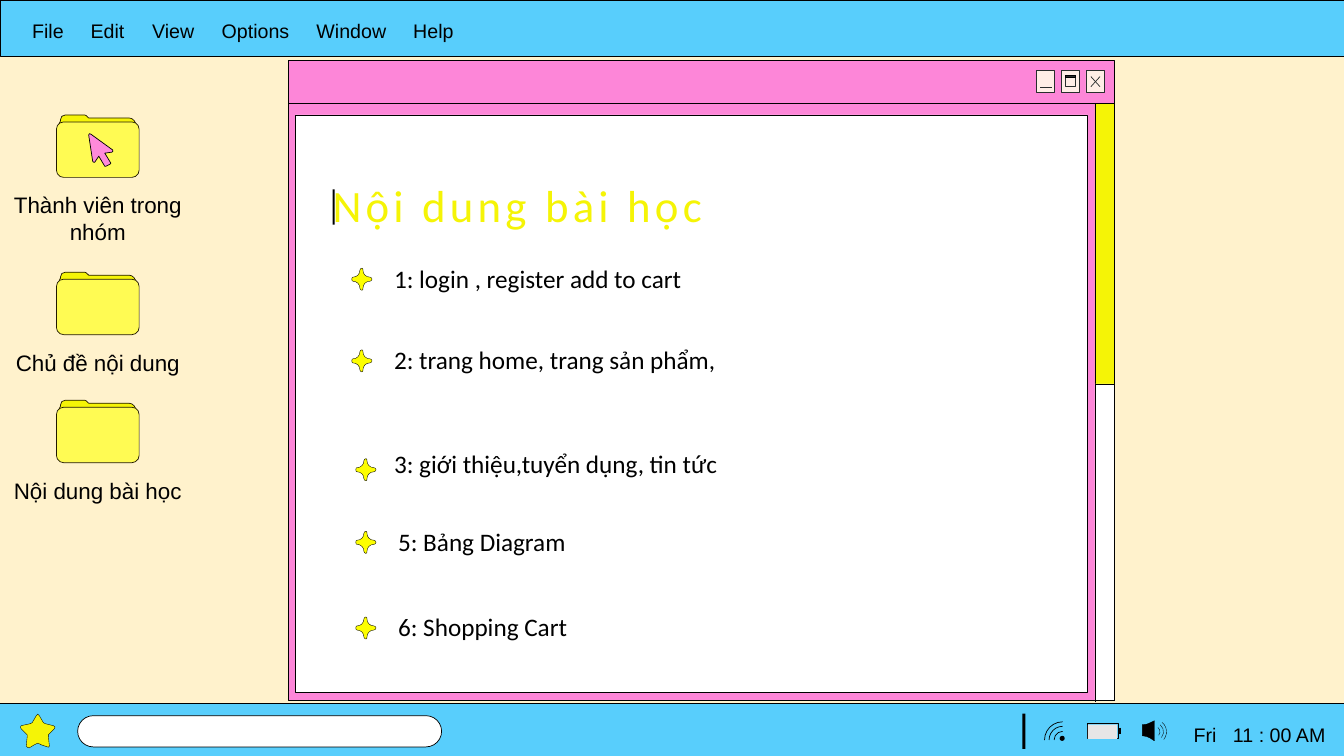
from lxml import etree
from pptx import Presentation
from pptx.dml.color import RGBColor
from pptx.enum.shapes import MSO_CONNECTOR, MSO_SHAPE as Kind
from pptx.enum.text import MSO_AUTO_SIZE, PP_ALIGN
from pptx.oxml.ns import qn
from pptx.util import Cm, Pt

CREAM = RGBColor(0xFF, 0xF2, 0xCC)
BLUE = RGBColor(0x58, 0xCE, 0xFC)
PINK = RGBColor(0xFD, 0x86, 0xD8)
CURSOR_PINK = RGBColor(0xFE, 0x8A, 0xDA)
YELLOW = RGBColor(0xF5, 0xF4, 0x06)
FOLDER_YELLOW = RGBColor(0xFF, 0xFB, 0x53)
SPARK_YELLOW = RGBColor(0xFD, 0xFE, 0x00)
BUTTON = RGBColor(0xFF, 0xEE, 0xE6)
GREY = RGBColor(0xE7, 0xE6, 0xE6)
INK = RGBColor(0x29, 0x2D, 0x2D)
BROWN = RGBColor(0x21, 0x19, 0x00)
WHITE = RGBColor(0xFF, 0xFF, 0xFF)
BLACK = RGBColor(0, 0, 0)

MENU = ["File", "Edit", "View", "Options", "Window", "Help"]
MENU_TABS = [0.58, 1.19, 1.88, 2.82, 3.78]
CLOCK = ["Fri", "11 : 00 AM"]
CLOCK_TABS = [0.39]
TITLE = "Nội dung bài học"
FOLDERS = [
    ("Thành viên trong nhóm", 1.14, 0.64),
    ("Chủ đề nội dung", 2.7, 0.37),
    ("Nội dung bài học", 3.97, 0.37),
]
LESSONS = [
    ("1: login , register add to cart", 3.81, 2.56, 3.49, 2.66),
    ("2: trang home, trang sản phẩm,", 3.81, 3.37, 3.49, 3.47),
    ("3: giới thiệu,tuyển dụng, tin tức", 3.81, 4.4, 3.53, 4.55),
    ("5: Bảng Diagram", 3.85, 5.17, 3.53, 5.27),
    ("6: Shopping Cart", 3.85, 6.02, 3.53, 6.12),
]

FOLDER_BACK = [
    (0.07, 0), (0.26, 0), (0.27, 0, 0.28, 0.01, 0.29, 0.02), (0.3, 0.03),
    (0.7, 0.03), (0.74, 0.03, 0.77, 0.07, 0.77, 0.11), (0.77, 0.51),
    (0.77, 0.55, 0.74, 0.58, 0.7, 0.58), (0.07, 0.58),
    (0.03, 0.58, 0, 0.55, 0, 0.51), (0, 0.11),
    (0, 0.1, 0, 0.09, 0.01, 0.08), (0.02, 0.06), (0.02, 0.05),
    (0.02, 0.02, 0.04, 0, 0.07, 0),
]
SPARK = [
    (0.01, 0.13), (0.05, 0.13, 0.08, 0.16, 0.08, 0.2),
    (0.08, 0.21, 0.09, 0.22, 0.1, 0.22), (0.11, 0.22, 0.11, 0.21, 0.11, 0.2),
    (0.11, 0.16, 0.14, 0.13, 0.18, 0.13), (0.19, 0.13, 0.2, 0.12, 0.2, 0.11),
    (0.2, 0.1, 0.19, 0.09, 0.18, 0.09), (0.14, 0.09, 0.11, 0.06, 0.11, 0.02),
    (0.11, 0.01, 0.11, 0, 0.1, 0), (0.09, 0, 0.08, 0.01, 0.08, 0.02),
    (0.08, 0.06, 0.05, 0.09, 0.01, 0.09), (0, 0.09, 0, 0.1, 0, 0.11),
    (0, 0.12, 0, 0.13, 0.01, 0.13),
]
CURSOR = [
    (1.12, 1.49), (0.9, 1.33), (0.89, 1.32, 0.88, 1.33, 0.88, 1.34),
    (0.92, 1.6), (0.92, 1.61, 0.93, 1.61, 0.94, 1.61), (0.98, 1.55),
    (1.04, 1.65), (1.05, 1.65), (1.09, 1.63), (1.1, 1.62), (1.04, 1.52),
    (1.11, 1.51), (1.12, 1.51, 1.12, 1.5, 1.12, 1.49),
]
START_STAR = [
    (0.53, 7.2), (0.45, 7.18), (0.44, 7.18, 0.44, 7.18, 0.43, 7.17),
    (0.39, 7.1), (0.38, 7.08, 0.37, 7.08, 0.36, 7.1), (0.32, 7.17),
    (0.31, 7.18, 0.31, 7.18, 0.3, 7.18), (0.21, 7.2),
    (0.2, 7.21, 0.2, 7.22, 0.21, 7.23), (0.27, 7.29),
    (0.27, 7.3, 0.27, 7.3, 0.27, 7.31), (0.26, 7.4),
    (0.26, 7.41, 0.28, 7.42, 0.29, 7.42), (0.34, 7.39),
    (0.38, 7.37, 0.37, 7.37, 0.41, 7.39), (0.47, 7.41),
    (0.48, 7.42, 0.49, 7.41, 0.49, 7.4), (0.48, 7.31),
    (0.48, 7.3, 0.48, 7.3, 0.48, 7.29), (0.54, 7.23),
    (0.55, 7.22, 0.55, 7.2, 0.53, 7.2),
]
SPEAKER = [(11.45, 7.35), (11.41, 7.33, 11.41, 7.31, 11.33, 7.3),
           (11.33, 7.19), (11.4, 7.19, 11.41, 7.16, 11.45, 7.15)]


def length(inches):
    return Cm(inches * 2.54)


def paint(shape, fill, line, width):
    shape.shadow.inherit = False
    if fill is None:
        shape.fill.background()
    else:
        shape.fill.solid()
        shape.fill.fore_color.rgb = fill
    if line is None:
        shape.line.fill.background()
    else:
        shape.line.color.rgb = line
        shape.line.width = Pt(width)


def block(left, top, width, height, fill=None, line=BLACK, weight=0.5,
          kind=Kind.RECTANGLE, corner=None, turn=0):
    shape = page.shapes.add_shape(kind, *map(length, (left, top, width, height)))
    if corner is not None:
        shape.adjustments[0] = corner
    shape.rotation = turn
    paint(shape, fill, line, weight)


def stroke(x1, y1, x2, y2, color=BLACK, weight=0.5):
    line = page.shapes.add_connector(MSO_CONNECTOR.STRAIGHT, *map(length, (x1, y1, x2, y2)))
    line.line.color.rgb = color
    line.line.width = Pt(weight)
    etree.SubElement(line._element.spPr, qn("a:effectLst"))


def outline(steps, fill, line=BLACK, weight=0.5, left=0, top=0):
    places = [(length(left + step[i]), length(top + step[i + 1]))
              for step in steps for i in range(0, len(step), 2)]
    builder = page.shapes.build_freeform(*places[0])
    builder.add_line_segments(places[1:], close=True)
    shape = builder.convert_to_shape()
    segments = iter(list(shape._element.iter(qn("a:lnTo"))))
    for step in steps[1:]:
        first = next(segments)
        if len(step) == 6:
            first.tag = qn("a:cubicBezTo")
            for extra in (next(segments), next(segments)):
                first.append(extra[0])
                extra.getparent().remove(extra)
    paint(shape, fill, line, weight)


def write(text, left, top, width, height, size, font="Arial", color=BLACK,
          align=PP_ALIGN.LEFT, tabs=()):
    box = page.shapes.add_textbox(*map(length, (left, top, width, height)))
    box.text_frame.word_wrap = True
    box.text_frame.auto_size = MSO_AUTO_SIZE.SHAPE_TO_FIT_TEXT
    para = box.text_frame.paragraphs[0]
    para.text = text
    para.alignment = align
    para.font.size, para.font.name = Pt(size), font
    para.font.color.rgb = color
    if tabs:
        stops = etree.Element(qn("a:tabLst"))
        for place in tabs:
            etree.SubElement(stops, qn("a:tab"), pos=str(length(place)), algn="l")
        para._p.get_or_add_pPr().insert(0, stops)
    return para


deck = Presentation()
deck.slide_width, deck.slide_height = length(13.33), length(7.5)
page = deck.slides.add_slide(deck.slide_layouts[6])
page.background.fill.solid()
page.background.fill.fore_color.rgb = CREAM

for name, top, height in FOLDERS:
    write(name, 0, top + 0.71, 1.94, height, 16, align=PP_ALIGN.CENTER)
    outline(FOLDER_BACK, YELLOW, BROWN, left=0.58, top=top)
    block(0.56, top + 0.07, 0.82, 0.55, FOLDER_YELLOW, BROWN,
          kind=Kind.ROUNDED_RECTANGLE, corner=0.13)

block(2.86, 0.6, 8.19, 6.35, PINK)
stroke(2.86, 1.03, 11.05, 1.03)
stroke(10.86, 6.96, 10.86, 1.03)
block(2.93, 1.14, 7.86, 5.73, WHITE)
block(10.86, 1.03, 0.19, 2.78, YELLOW)
block(10.86, 3.81, 0.19, 3.14, WHITE)
for left in (10.28, 10.53, 10.77):
    block(left, 0.7, 0.18, 0.22, BUTTON, INK)
stroke(10.32, 0.87, 10.43, 0.87, INK)
block(10.57, 0.75, 0.1, 0.11, None, INK)
block(10.57, 0.75, 0.1, 0.02, INK)
stroke(10.82, 0.76, 10.91, 0.86, INK)
stroke(10.91, 0.76, 10.82, 0.86, INK)

block(0, 0, 13.33, 0.56, BLUE)
write("\t".join(MENU), 0.22, 0.14, 4.69, 0.34, 14, tabs=MENU_TABS)
outline(CURSOR, CURSOR_PINK)

block(-0.01, 6.98, 13.36, 0.56, BLUE)
outline(START_STAR, YELLOW, weight=0.25)
block(0.77, 7.1, 3.61, 0.31, WHITE, kind=Kind.ROUNDED_RECTANGLE, corner=0.5)
write("\t".join(CLOCK), 11.74, 7.12, 1.58, 0.34, 14, tabs=CLOCK_TABS)
for size in (0.17, 0.27, 0.36):
    block(10.54 - size / 2, 7.34 - size / 2, size, size, kind=Kind.ARC, turn=269.6)
block(10.51, 7.3, 0.05, 0.05, BLACK, None, kind=Kind.OVAL)
outline(SPEAKER, BLACK, weight=0.25)
for size in (0.11, 0.18, 0.24):
    block(11.45 - size / 2, 7.26 - size / 2, size, size, weight=0.25,
          kind=Kind.ARC, turn=39.5)
block(10.78, 7.18, 0.31, 0.15)
block(10.79, 7.19, 0.29, 0.14, GREY, None)
stroke(11.11, 7.22, 11.11, 7.28, weight=1.5)
block(10.14, 7.08, 0.03, 0.35, BLACK, None)

title = write(TITLE, 3.2, 1.71, 5.7, 0.64, 32, "Calibri", YELLOW)
style = title.runs[0]._r.get_or_add_rPr()
style.set("spc", "300")
edge = etree.SubElement(style, qn("a:ln"), w=str(Pt(0.25)))
etree.SubElement(etree.SubElement(edge, qn("a:solidFill")), qn("a:srgbClr"), val=str(BLACK))
block(3.3, 1.88, 0.02, 0.35, BLACK, None)
for lesson, left, top, spark_left, spark_top in LESSONS:
    outline(SPARK, SPARK_YELLOW, weight=0.25, left=spark_left, top=spark_top)
    write(lesson, left, top, 6.56, 0.4, 18, "Calibri")

deck.save("out.pptx")
